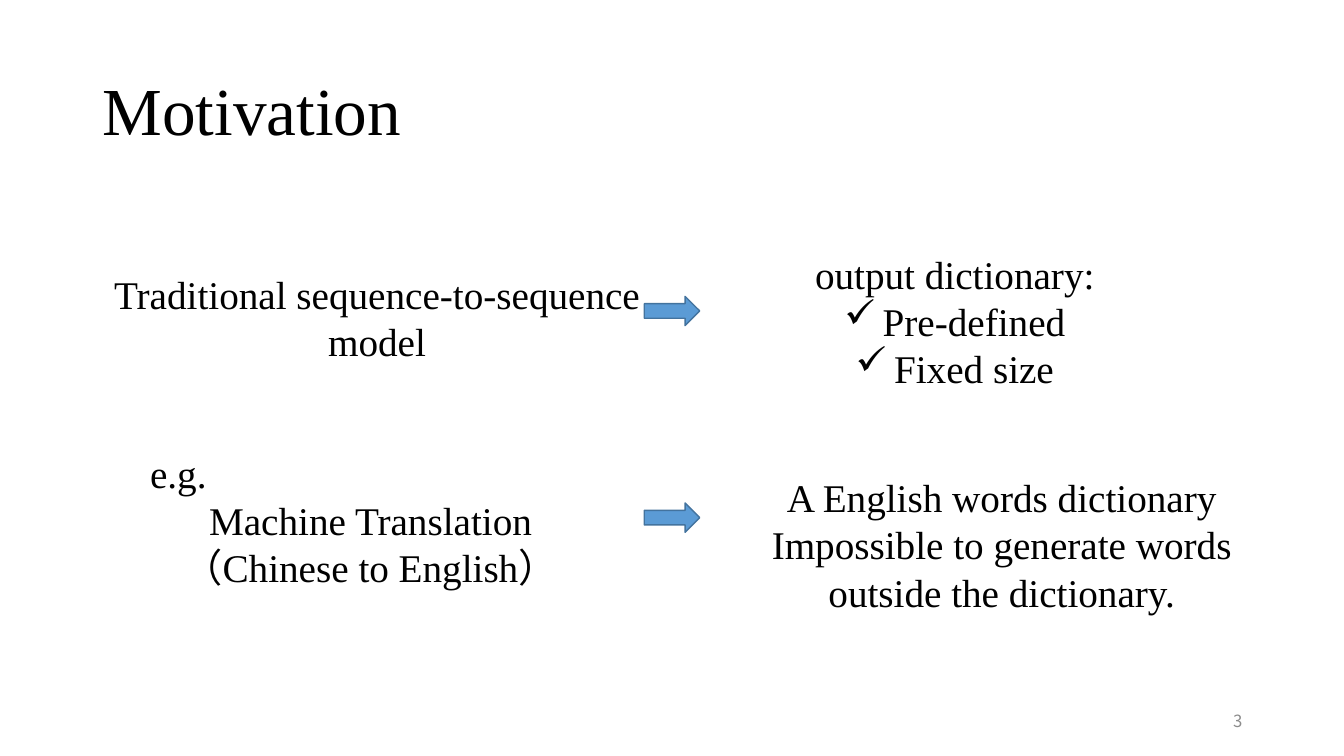
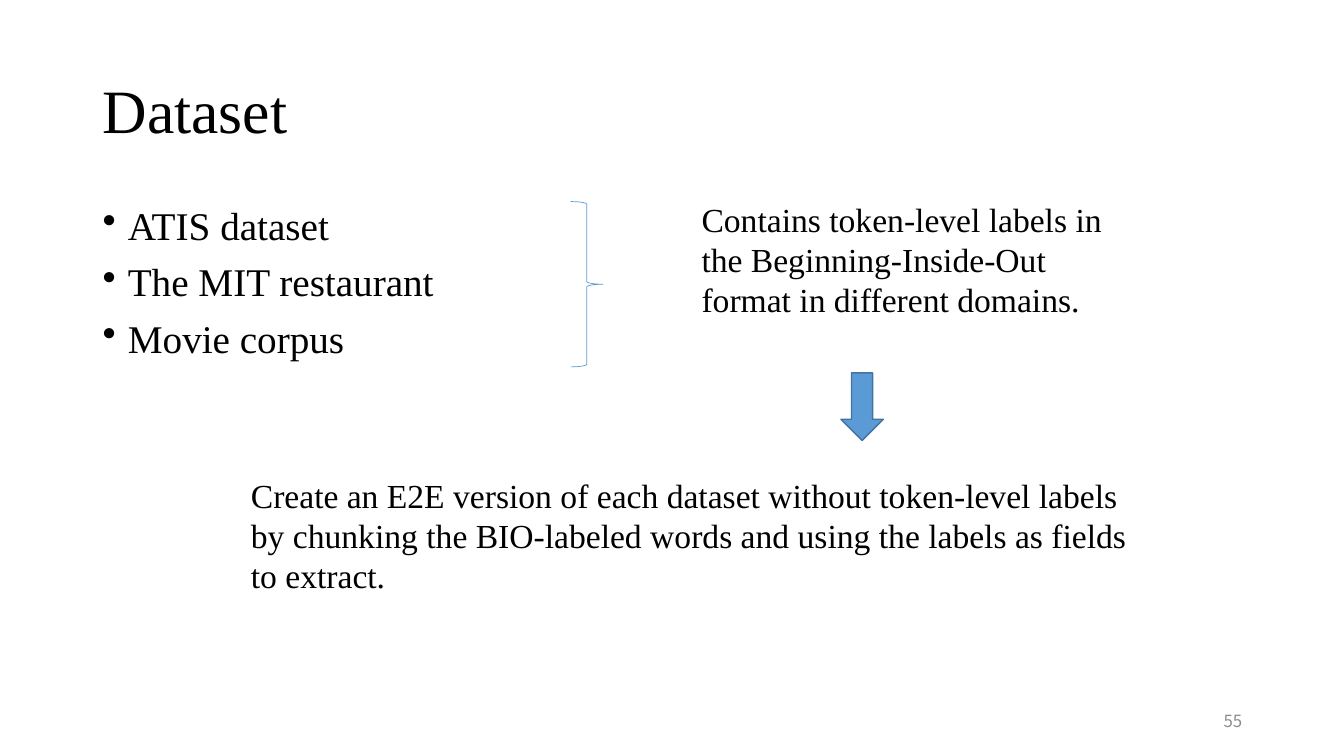
from lxml import etree
from pptx import Presentation
from pptx.dml.color import RGBColor
from pptx.enum.shapes import MSO_SHAPE
from pptx.enum.text import MSO_ANCHOR, PP_ALIGN
from pptx.oxml.ns import qn
from pptx.util import Emu, Pt

PX = 9144
BLACK = RGBColor(0x00, 0x00, 0x00)
GRAY = RGBColor(0x8C, 0x8C, 0x8C)
BLUE = RGBColor(0x5B, 0x9B, 0xD5)
DARK_BLUE = RGBColor(0x43, 0x73, 0x9E)
SERIF = "Times New Roman"
SANS = "Noto Sans CJK SC"
LEFT, CENTER, RIGHT = PP_ALIGN.LEFT, PP_ALIGN.CENTER, PP_ALIGN.RIGHT
TOP, MIDDLE = MSO_ANCHOR.TOP, MSO_ANCHOR.MIDDLE
RIGHT_ARROW, DOWN_ARROW = MSO_SHAPE.RIGHT_ARROW, MSO_SHAPE.DOWN_ARROW
RIGHT_BRACE = MSO_SHAPE.RIGHT_BRACE

TITLE_BOX = (92, 40, 1150, 145)
NUMBER_BOX = (942, 695, 300, 40)
BULLET_INDENTS = {"✓": 38, "•": 25}

SLIDES = [
    {
        "title": ("Motivation", 48),
        "number": "3",
        "texts": [
            {"box": (92, 263, 564, 104), "align": CENTER,
             "lines": ["Traditional sequence-to-sequence model"]},
            {"box": (706, 243, 482, 151), "align": CENTER,
             "lines": ["output dictionary:", ("✓", "Pre-defined"), ("✓", "Fixed size")]},
            {"box": (139, 441, 457, 199), "align": CENTER, "first_align": LEFT,
             "lines": ["e.g.", "Machine Translation", "（Chinese to English）"]},
            {"box": (738, 465, 511, 199), "align": CENTER,
             "lines": ["A English words dictionary",
                       "Impossible to generate words outside the dictionary."]},
        ],
        "shapes": [(RIGHT_ARROW, (639, top, 55, 29)) for top in (294, 499)],
    },
    {
        "title": ("Dataset", 44),
        "number": "55",
        "texts": [
            {"box": (92, 200, 1150, 476), "spacing": 0.9, "gap": 10,
             "lines": [("•", "ATIS dataset"), ("•", "The MIT restaurant"),
                       ("•", "Movie corpus")]},
            {"box": (686, 192, 424, 131), "size": 24,
             "lines": ["Contains token-level labels in the Beginning-Inside-Out "
                       "format in different domains."]},
            {"box": (239, 466, 893, 131), "size": 24,
             "lines": ["Create an E2E version of each dataset without token-level labels "
                       "by chunking the BIO-labeled words and using the labels as fields "
                       "to extract."]},
        ],
        "shapes": [(RIGHT_BRACE, (566, 200, 32, 164)), (DOWN_ARROW, (834, 370, 42, 67))],
    },
]


def scale(box):
    return [Emu(length * PX) for length in box]


def add_bullet(paragraph, mark):
    properties = paragraph._p.get_or_add_pPr()
    indent = BULLET_INDENTS[mark] * PX
    properties.set("marL", str(indent))
    properties.set("indent", str(-indent))
    etree.SubElement(properties, qn("a:buChar")).set("char", mark)


def add_text(slide, box, lines, size=28, align=LEFT, first_align=None, anchor=TOP,
             font=SERIF, color=BLACK, spacing=None, gap=0):
    frame = slide.shapes.add_textbox(*scale(box)).text_frame
    frame.word_wrap = True
    frame.vertical_anchor = anchor
    for index, line in enumerate(lines):
        paragraph = frame.add_paragraph() if index else frame.paragraphs[0]
        mark, text = line if isinstance(line, tuple) else (None, line)
        if mark:
            add_bullet(paragraph, mark)
        paragraph.text = text
        paragraph.alignment = align if index or first_align is None else first_align
        if spacing:
            paragraph.line_spacing = spacing
        if index and gap:
            paragraph.space_before = Pt(gap)
        paragraph.font.size = Pt(size)
        paragraph.font.name = font
        paragraph.font.color.rgb = color


def add_blue_shape(slide, kind, box):
    shape = slide.shapes.add_shape(kind, *scale(box))
    shape.shadow.inherit = False
    if kind == RIGHT_BRACE:
        shape.fill.background()
        shape.line.color.rgb = BLUE
        shape.line.width = Pt(0.5)
    else:
        shape.fill.solid()
        shape.fill.fore_color.rgb = BLUE
        shape.line.color.rgb = DARK_BLUE
        shape.line.width = Pt(1)


def build_slide(presentation, content):
    slide = presentation.slides.add_slide(presentation.slide_layouts[6])
    title, size = content["title"]
    add_text(slide, TITLE_BOX, [title], size, anchor=MIDDLE, spacing=0.9)
    for text in content["texts"]:
        add_text(slide, **text)
    for kind, box in content["shapes"]:
        add_blue_shape(slide, kind, box)
    add_text(slide, NUMBER_BOX, [content["number"]], 12, RIGHT, anchor=MIDDLE,
             font=SANS, color=GRAY)


def main():
    presentation = Presentation()
    presentation.slide_width, presentation.slide_height = scale((1333, 750))
    for content in SLIDES:
        build_slide(presentation, content)
    presentation.save("out.pptx")


if __name__ == "__main__":
    main()
